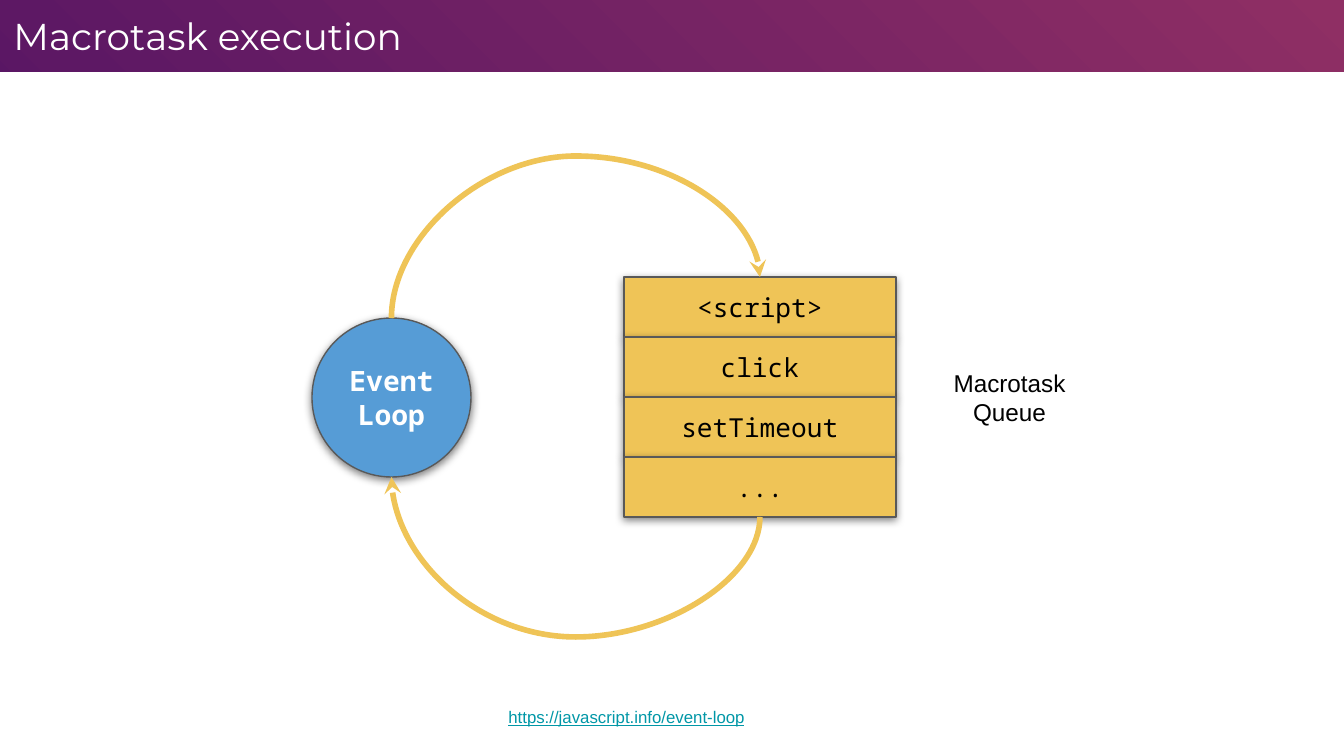
from lxml import etree
from pptx import Presentation
from pptx import util as u
from pptx.dml.color import RGBColor
from pptx.enum import shapes, text
from pptx.oxml import parse_xml
from pptx.oxml.ns import nsdecls, qn

EMU_PER_PX = 914400 / 134.4
WIDTH, HEIGHT, HEADER_HEIGHT = 1344, 756, 72

WHITE = RGBColor(0xFF, 0xFF, 0xFF)
BLACK = RGBColor(0x00, 0x00, 0x00)
YELLOW = RGBColor(0xEF, 0xC4, 0x57)
BLUE = RGBColor(0x56, 0x9C, 0xD6)
OUTLINE = RGBColor(0x59, 0x59, 0x59)
LINK = RGBColor(0x00, 0x97, 0xA7)
GRADIENT = [(0, "F35C65"), (0, "8F2F64"), (64, "5D1864"), (100, "2B0163")]

MONO, SANS, DISPLAY = "Noto Sans Mono", "Arial", "Montserrat"
TASKS = ["<script>", "click", "setTimeout", "..."]


def px(value):
    return u.Emu(round(value * EMU_PER_PX))


def box(*lengths):
    return [px(length) for length in lengths]


def write(shape, content, font, size, color, align=text.PP_ALIGN.CENTER,
          anchor=text.MSO_ANCHOR.MIDDLE, bold=False, underline=False):
    frame = shape.text_frame
    frame.text = content
    frame.word_wrap = True
    frame.auto_size = text.MSO_AUTO_SIZE.NONE
    frame.vertical_anchor = anchor
    frame.margin_left = frame.margin_right = u.Inches(0.1)
    frame.margin_top = frame.margin_bottom = u.Inches(0.1)
    for paragraph in frame.paragraphs:
        paragraph.alignment = align
        for run in paragraph.runs:
            run.font.name = font
            run.font.size = u.Pt(size)
            run.font.color.rgb = color
            run.font.bold = bold
            run.font.underline = underline


def set_background(slide):
    stops = "".join(
        f'<a:gs pos="{position * 1000}"><a:srgbClr val="{color}"/></a:gs>'
        for position, color in GRADIENT)
    slide.background.fill.solid()
    properties = slide.element.cSld.find(qn("p:bg")).find(qn("p:bgPr"))
    properties.replace(properties[0], parse_xml(
        f'<a:gradFill {nsdecls("a")}><a:gsLst>{stops}</a:gsLst>'
        '<a:path path="circle"><a:fillToRect l="100000" b="100000"/></a:path>'
        '</a:gradFill>'))


def add_panel(slide):
    panel = slide.shapes.add_shape(
        shapes.MSO_SHAPE.RECTANGLE,
        *box(0, HEADER_HEIGHT, WIDTH, HEIGHT - HEADER_HEIGHT))
    panel.shadow.inherit = False
    panel.fill.solid()
    panel.fill.fore_color.rgb = WHITE
    panel.line.fill.background()


def add_title(slide, content):
    title = slide.shapes.title
    title.left, title.top, title.width, title.height = box(
        0, 0, 1211, HEADER_HEIGHT)
    write(title, content, DISPLAY, 20, WHITE, align=text.PP_ALIGN.LEFT)


def add_node(parent, kind, bounds, fill, content, size, color, bold=False):
    node = parent.shapes.add_shape(kind, *box(*bounds))
    node.fill.solid()
    node.fill.fore_color.rgb = fill
    node.line.color.rgb = OUTLINE
    node.line.width = u.Pt(0.75)
    # Soft shadow straight below
    node.shadow.inherit = False
    effects = node.element.spPr.find(qn("a:effectLst"))
    effects.append(parse_xml(
        f'<a:outerShdw {nsdecls("a")} blurRad="{u.Pt(4.5)}" dist="{u.Pt(1.5)}"'
        ' dir="5400000" algn="bl" rotWithShape="0"><a:srgbClr val="000000">'
        '<a:alpha val="50000"/></a:srgbClr></a:outerShdw>'))
    write(node, content, MONO, size, color, bold=bold)


def add_arc(slide, start, end, bulge, arrow_end):
    """Curve between two points, bulging vertically away from start.

    The curve is laid out sideways around its centre, then turned by 270 degrees.
    """
    (x1, y1), (x2, y2) = start, end
    width, height = abs(y2 - y1), x2 - x1
    left, top = (x1 + x2 - width) / 2, (y1 + y2 - height) / 2
    sides = [left, left + width]
    if y2 > y1:
        sides.reverse()
    arc = slide.shapes.add_connector(
        shapes.MSO_CONNECTOR.CURVE,
        *box(sides[0], top, sides[1], top + height))
    arc.line.color.rgb = YELLOW
    arc.line.width = u.Pt(3)
    properties = arc.element.spPr
    properties.find(qn("a:xfrm")).set("rot", str(270 * 60000))
    guides = properties.find(qn("a:prstGeom")).find(qn("a:avLst"))
    etree.SubElement(guides, qn("a:gd"), name="adj1",
                     fmla=f"val {round(bulge / width * 100000)}")
    etree.SubElement(properties.find(qn("a:ln")), qn(f"a:{arrow_end}"),
                     type="stealth")
    etree.SubElement(properties, qn("a:effectLst"))


def add_label(slide, bounds, content, size, color, underline=False):
    label = slide.shapes.add_textbox(*box(*bounds))
    write(label, content, SANS, size, color,
          anchor=text.MSO_ANCHOR.TOP, underline=underline)


def main():
    presentation = Presentation()
    presentation.slide_width, presentation.slide_height = box(WIDTH, HEIGHT)
    slide = presentation.slides.add_slide(presentation.slide_layouts[5])

    # Header and white content area
    set_background(slide)
    add_panel(slide)
    add_title(slide, "Macrotask execution")

    # Macrotask queue
    left, top, width, row_height = 624, 277, 272, 60
    queue = slide.shapes.add_group_shape()
    for row, task in enumerate(TASKS):
        add_node(queue, shapes.MSO_SHAPE.RECTANGLE,
                 (left, top + row * row_height, width, row_height),
                 YELLOW, task, 14, BLACK)
    bottom = top + len(TASKS) * row_height
    add_label(slide, (902, 355, 215, 86), "Macrotask\vQueue", 13, BLACK)

    # Event loop
    loop_left, loop_top, diameter = 312, 318, 159
    add_node(slide, shapes.MSO_SHAPE.OVAL,
             (loop_left, loop_top, diameter, diameter),
             BLUE, "Event\vLoop", 15, WHITE, bold=True)

    # Cycle between loop and queue
    loop_x, queue_x = loop_left + diameter / 2, left + width / 2
    add_arc(slide, (loop_x, loop_top), (queue_x, top), 162, "tailEnd")
    add_arc(slide, (loop_x, loop_top + diameter), (queue_x, bottom), 160,
            "headEnd")

    # Reference
    add_label(slide, (406, 693, 441, 47), "https://javascript.info/event-loop",
              9, LINK, underline=True)

    presentation.save("out.pptx")


if __name__ == "__main__":
    main()
